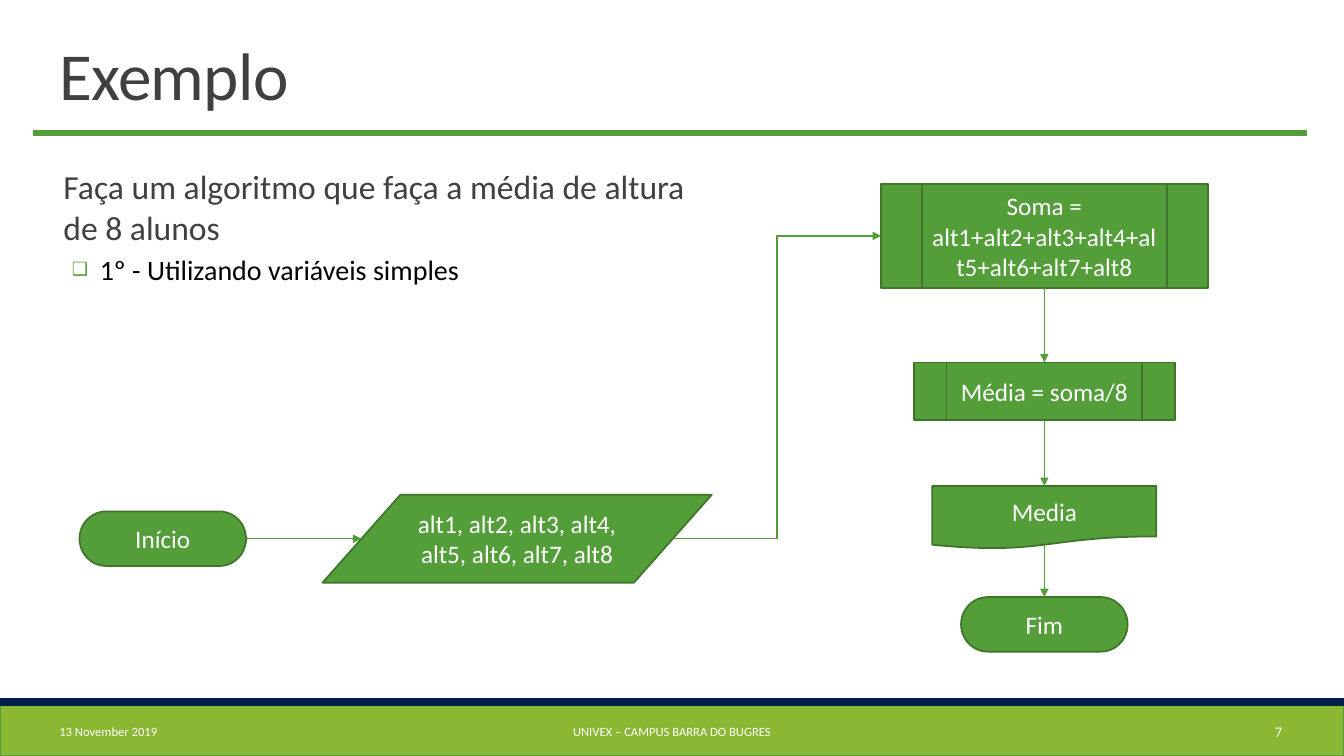
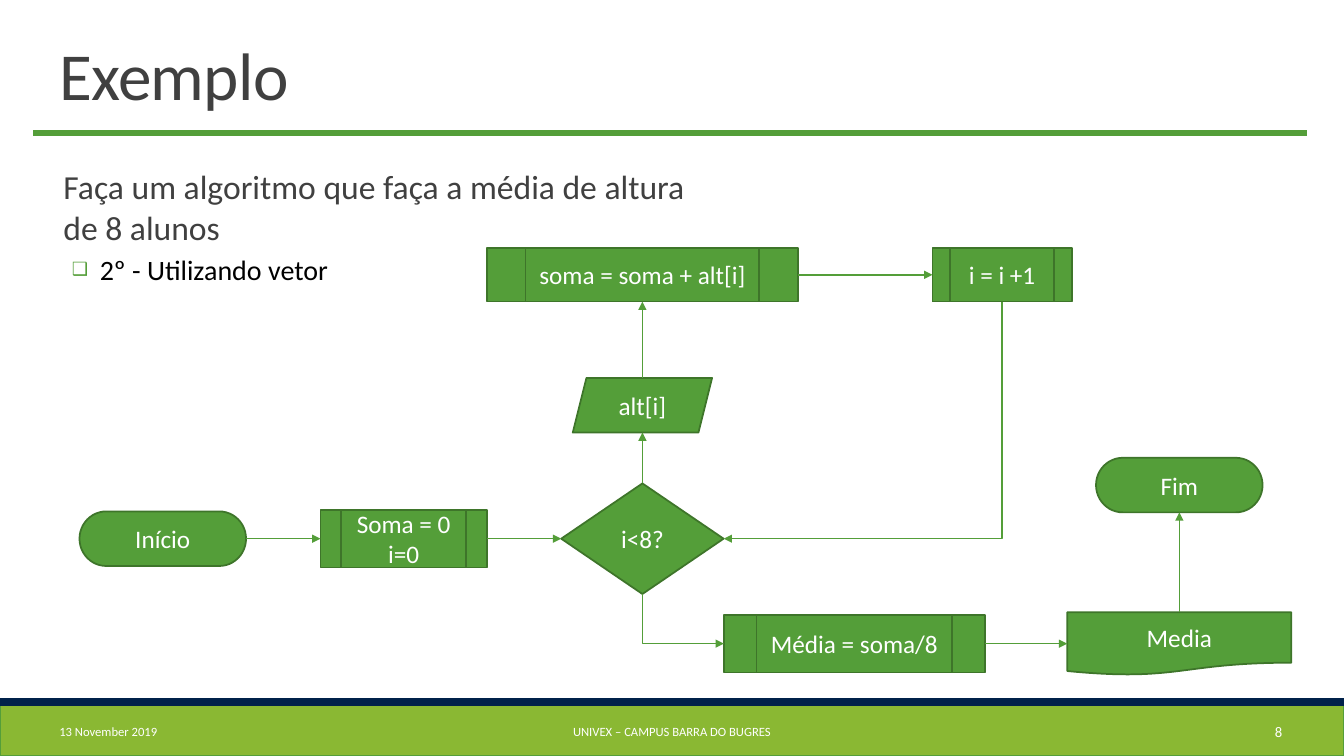
from dataclasses import dataclass

from lxml import etree
from pptx import Presentation
from pptx.dml.color import RGBColor
from pptx.enum.shapes import MSO_CONNECTOR, MSO_SHAPE
from pptx.enum.text import MSO_ANCHOR, MSO_AUTO_SIZE, PP_ALIGN
from pptx.oxml.ns import qn
from pptx.slide import Slide
from pptx.text.text import TextFrame
from pptx.util import Pt

RECT, DIAMOND, SLANT = MSO_SHAPE.RECTANGLE, MSO_SHAPE.DIAMOND, MSO_SHAPE.PARALLELOGRAM
PILL, DATA = MSO_SHAPE.FLOWCHART_TERMINATOR, MSO_SHAPE.FLOWCHART_DATA
STEP, PAPER = MSO_SHAPE.FLOWCHART_PREDEFINED_PROCESS, MSO_SHAPE.FLOWCHART_DOCUMENT
LINE, ELBOW = MSO_CONNECTOR.STRAIGHT, MSO_CONNECTOR.ELBOW
LEFT, CENTER, RIGHT = PP_ALIGN.LEFT, PP_ALIGN.CENTER, PP_ALIGN.RIGHT
MIDDLE, BOTTOM, TOP = MSO_ANCHOR.MIDDLE, MSO_ANCHOR.BOTTOM, MSO_ANCHOR.TOP
FIXED = MSO_AUTO_SIZE.NONE


@dataclass(frozen=True)
class Theme:
    font: str = "Calibri"
    green: str = "549E39"
    edge: str = "3E752A"
    lime: str = "8AB833"
    navy: str = "00214A"
    gray: str = "404040"
    black: str = "000000"
    white: str = "FFFFFF"
    title: float = 48
    lead: float = 24
    item: float = 20
    node: float = 18
    foot: float = 9
    page: float = 10.5


THEME = Theme()


@dataclass(frozen=True)
class Node:
    """A flowchart step, placed by its centre."""
    kind: MSO_SHAPE
    text: str
    x: float
    y: float
    w: float
    h: float

    def port(self, side: str) -> tuple[float, float]:
        """Point where an arrow meets the given side."""
        dx = self.w * (0.4 if self.kind == DATA else 0.5)
        low = self.h * (0.44 if self.kind == PAPER else 0.5)
        shift = {"l": (-dx, 0), "r": (dx, 0), "t": (0, -self.h / 2), "b": (0, low)}
        return self.x + shift[side][0], self.y + shift[side][1]


@dataclass(frozen=True)
class Arrow:
    """Ends are a node key and a side; bend is the number of turns."""
    start: str
    end: str
    sides: str
    bend: int = 0


@dataclass(frozen=True)
class Page:
    number: int
    item: str
    nodes: dict[str, Node]
    arrows: list[Arrow]


# Text
def color(code: str) -> RGBColor:
    return RGBColor.from_string(code)


def write(frame: TextFrame, text: str, *, size: float, ink: str = THEME.white,
          align: PP_ALIGN = LEFT, anchor: MSO_ANCHOR = MIDDLE) -> None:
    frame.word_wrap = True
    frame.auto_size = FIXED
    frame.vertical_anchor = anchor
    frame.text = text
    for para in frame.paragraphs:
        para.alignment = align
        font = para.runs[0].font
        font.name, font.size = THEME.font, Pt(size)
        font.color.rgb = color(ink)


def indent(para, margin: float, hang: float, before: float, after: float,
           mark: str = "") -> None:
    para.space_before, para.space_after = Pt(before), Pt(after)
    props = para._p.get_or_add_pPr()
    props.set("marL", str(Pt(margin)))
    props.set("indent", str(Pt(hang)))
    if not mark:
        etree.SubElement(props, qn("a:buNone"))
        return
    tint = etree.SubElement(props, qn("a:buClr"))
    etree.SubElement(tint, qn("a:srgbClr"), val=THEME.green)
    etree.SubElement(props, qn("a:buSzPct"), val="65000")
    etree.SubElement(props, qn("a:buChar"), char=mark)


# Shapes and lines
def shape(slide: Slide, kind: MSO_SHAPE, box: tuple[float, ...], fill: str, edge: str):
    form = slide.shapes.add_shape(kind, *map(Pt, box))
    form.shadow.inherit = False
    form.fill.solid()
    form.fill.fore_color.rgb = color(fill)
    form.line.color.rgb = color(edge)
    form.line.width = Pt(1.25)
    return form


def stroke(slide: Slide, start: tuple[float, float], end: tuple[float, float],
           width: float, kind: MSO_CONNECTOR = LINE):
    link = slide.shapes.add_connector(kind, *map(Pt, (*start, *end)))
    link.line.color.rgb = color(THEME.green)
    link.line.width = Pt(width)
    etree.SubElement(link._element.spPr, qn("a:effectLst"))
    return link


def corner(slide: Slide, start: tuple[float, float], end: tuple[float, float]):
    """One-turn connector that goes down first, then sideways."""
    (x1, y1), (x2, y2) = start, end
    midx, midy = (x1 + x2) / 2, (y1 + y2) / 2
    dx, dy = (y2 - y1) / 2, abs(x2 - x1) / 2
    right = x2 > x1
    if right:
        dx = -dx
    link = stroke(slide, (midx - dx, midy - dy), (midx + dx, midy + dy), 1, ELBOW)
    props = link._element.spPr
    props.find(qn("a:prstGeom")).set("prst", "bentConnector2")
    props.find(qn("a:xfrm")).set("rot", "16200000" if right else "5400000")
    return link


def draw_node(slide: Slide, node: Node) -> None:
    box = (node.x - node.w / 2, node.y - node.h / 2, node.w, node.h)
    form = shape(slide, node.kind, box, THEME.green, THEME.edge)
    write(form.text_frame, node.text, size=THEME.node, align=CENTER)


def draw_arrow(slide: Slide, arrow: Arrow, nodes: dict[str, Node]) -> None:
    start = nodes[arrow.start].port(arrow.sides[0])
    end = nodes[arrow.end].port(arrow.sides[1])
    if arrow.bend == 1:
        link = corner(slide, start, end)
    else:
        link = stroke(slide, start, end, 1, ELBOW if arrow.bend else LINE)
    line = link._element.spPr.find(qn("a:ln"))
    etree.SubElement(line, qn("a:tailEnd"), type="triangle")


# Shared frame
def draw_frame(slide: Slide, number: int) -> None:
    shape(slide, RECT, (0, 504, 960, 36), THEME.lime, THEME.green)
    shape(slide, RECT, (0, 499, 960, 5), THEME.navy, THEME.navy)
    stroke(slide, (23.8, 95), (933.6, 95), 4.5)
    for text, x, w, size, align in (
        ("13 November 2019", 35.3, 194.4, THEME.foot, LEFT),
        ("UNIVEX – CAMPUS BARRA DO BUGRES", 290.2, 379.4, THEME.foot, CENTER),
        (str(number), 820.1, 103, THEME.page, RIGHT),
    ):
        box = slide.shapes.add_textbox(Pt(x), Pt(508.3), Pt(w), Pt(28.8))
        write(box.text_frame, text, size=size, align=align)


def place(holder, x: float, y: float, w: float, h: float) -> TextFrame:
    holder.left, holder.top, holder.width, holder.height = map(Pt, (x, y, w, h))
    return holder.text_frame


def draw_text(slide: Slide, item: str) -> None:
    head = place(slide.shapes.title, 35.3, 22.3, 748, 62.6)
    write(head, "Exemplo", size=THEME.title, ink=THEME.gray, anchor=BOTTOM)
    para = head.paragraphs[0]
    para.line_spacing = 0.85
    para.runs[0].font._element.set("spc", "-50")

    body = place(slide.placeholders[1], 35.3, 115.2, 470.9, 365)
    body.margin_left = body.margin_right = 0
    body.margin_top = body.margin_bottom = Pt(3.6)
    lead = "Faça um algoritmo que faça a média de altura de 8 alunos"
    write(body, f"{lead}\n{item}", size=THEME.lead, ink=THEME.gray, anchor=TOP)
    first, second = body.paragraphs
    indent(first, 10, 0, 12, 2)
    second.level = 1
    second.runs[0].font.size = Pt(THEME.item)
    second.runs[0].font.color.rgb = color(THEME.black)
    indent(second, 36, -20, 2, 4, "❑")


# Flowcharts
ROW = 384.8
COL, LOOP, LAST = 746, 458.9, 842.4


def begin() -> Node:
    return Node(PILL, "Início", 116.3, ROW, 119, 39)


def finish(x: float, y: float) -> Node:
    return Node(PILL, "Fim", x, y, 119, 39)


def mean(x: float, y: float) -> Node:
    return Node(STEP, "Média = soma/8", x, y, 186.5, 41)


def result(x: float, y: float) -> Node:
    return Node(PAPER, "Media", x, y, 160, 45)


PAGES = [
    Page(7, "1º - Utilizando variáveis simples", {
        "begin": begin(),
        "end": finish(COL, 446),
        "read": Node(DATA, "alt1, alt2, alt3, alt4, alt5, alt6, alt7, alt8",
                     369.4, ROW, 278, 62.8),
        "sum": Node(STEP, "Soma = alt1+alt2+alt3+alt4+alt5+alt6+alt7+alt8",
                    COL, 168.5, 233.3, 74.3),
        "mean": mean(COL, 279.4),
        "result": result(COL, 369.6),
    }, [
        Arrow("read", "sum", "rl", 2),
        Arrow("sum", "mean", "bt"),
        Arrow("mean", "result", "bt"),
        Arrow("result", "end", "bt"),
        Arrow("begin", "read", "rl"),
    ]),
    Page(8, "2º - Utilizando vetor", {
        "begin": begin(),
        "end": finish(LAST, 346.5),
        "sum": Node(STEP, "soma = soma + alt[i]", LOOP, 196.3, 222.5, 38.3),
        "mean": mean(610.3, 459.8),
        "result": result(LAST, 459.8),
        "set": Node(STEP, "Soma = 0\ni=0", 288.4, ROW, 119, 41),
        "test": Node(DIAMOND, "i<8?", LOOP, ROW, 116, 79),
        "read": Node(SLANT, "alt[i]", LOOP, 289.5, 99.5, 39),
        "next": Node(STEP, "i = i +1", 715.8, 196.3, 99.5, 38.3),
    }, [
        Arrow("begin", "set", "rl"),
        Arrow("set", "test", "rl"),
        Arrow("test", "read", "tb"),
        Arrow("read", "sum", "tb"),
        Arrow("sum", "next", "rl"),
        Arrow("next", "test", "br", 1),
        Arrow("test", "mean", "bl", 1),
        Arrow("mean", "result", "rl"),
        Arrow("result", "end", "tb"),
    ]),
]


# Build
def main() -> None:
    deck = Presentation()
    deck.slide_width, deck.slide_height = Pt(960), Pt(540)
    for page in PAGES:
        slide = deck.slides.add_slide(deck.slide_layouts[1])
        draw_frame(slide, page.number)
        draw_text(slide, page.item)
        for node in page.nodes.values():
            draw_node(slide, node)
        for arrow in page.arrows:
            draw_arrow(slide, arrow, page.nodes)
    deck.save("out.pptx")


main()
